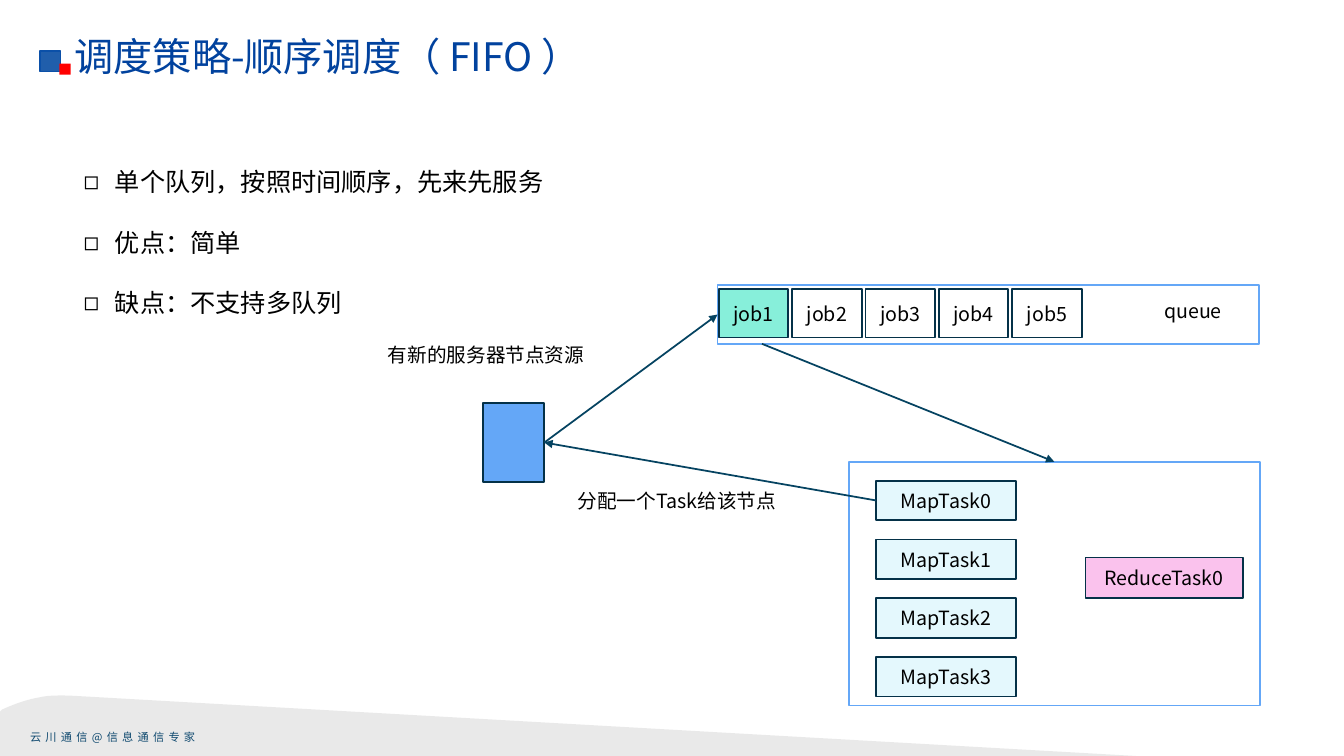
from lxml import etree
from pptx import Presentation
from pptx.dml.color import RGBColor
from pptx.enum import shapes, text
from pptx.oxml import ns
from pptx.util import Pt

FONT = "Noto Sans CJK SC"
BLACK = RGBColor(0x00, 0x00, 0x00)
WHITE = RGBColor(0xFF, 0xFF, 0xFF)
TITLE_BLUE = RGBColor(0x01, 0x42, 0x9E)
MARK_BLUE = RGBColor(0x20, 0x5E, 0xAB)
MARK_EDGE = RGBColor(0x0B, 0x50, 0xA8)
MARK_RED = RGBColor(0xFF, 0x00, 0x00)
SKY = RGBColor(0x64, 0xA7, 0xF7)
NAVY = RGBColor(0x04, 0x31, 0x48)
ARROW = RGBColor(0x05, 0x43, 0x61)
MINT = RGBColor(0x87, 0xEF, 0xDA)
ICE = RGBColor(0xE4, 0xF8, 0xFD)
PINK = RGBColor(0xFA, 0xC2, 0xED)
GREY = RGBColor(0xD9, 0xD9, 0xD9)
FOOTER_BLUE = RGBColor(0x0F, 0x49, 0x6F)


def add_element(parent, tag, **attributes):
    return etree.SubElement(parent, ns.qn(tag), attributes)


def write(frame, lines, size=14, color=BLACK, align=text.PP_ALIGN.LEFT,
          anchor=text.MSO_ANCHOR.MIDDLE, wrap=True, margins=(7.2, 3.6),
          line_spacing=None, bullet=None, indent=0, tracking=None):
    frame.auto_size = text.MSO_AUTO_SIZE.NONE
    frame.word_wrap = wrap
    frame.vertical_anchor = anchor
    frame.margin_left = frame.margin_right = Pt(margins[0])
    frame.margin_top = frame.margin_bottom = Pt(margins[1])
    for index, line in enumerate(lines):
        paragraph = frame.add_paragraph() if index else frame.paragraphs[0]
        paragraph.alignment = align
        paragraph.space_before = paragraph.space_after = Pt(0)
        if line_spacing:
            paragraph.line_spacing = Pt(line_spacing)
        if bullet:
            properties = paragraph._p.get_or_add_pPr()
            properties.set("marL", str(Pt(indent)))
            properties.set("indent", str(-Pt(indent)))
            add_element(properties, "a:buChar", char=bullet)
        run = paragraph.add_run()
        run.text = line
        run.font.size = Pt(size)
        run.font.color.rgb = color
        run.font.name = FONT
        character = run._r.get_or_add_rPr()
        add_element(character, "a:ea", typeface=FONT)
        if tracking:
            character.set("spc", str(tracking * 100))


def place(shape, box):
    shape.left, shape.top, shape.width, shape.height = map(Pt, box)


def add_label(slide, box, words, **style):
    label = slide.shapes.add_textbox(*map(Pt, box))
    write(label.text_frame, [words], **style)


def add_block(slide, box, fill, edge=NAVY, words=None):
    block = slide.shapes.add_shape(shapes.MSO_SHAPE.RECTANGLE, *map(Pt, box))
    block.shadow.inherit = False
    block.fill.solid()
    block.fill.fore_color.rgb = fill
    if edge is None:
        block.line.fill.background()
    else:
        block.line.color.rgb = edge
        block.line.width = Pt(1.25)
    if words:
        write(block.text_frame, [words], align=text.PP_ALIGN.CENTER,
              wrap=False, margins=(0, 0))
    return block


def add_arrow(slide, start=(0, 0), begin=None, end=None):
    arrow = slide.shapes.add_connector(
        shapes.MSO_CONNECTOR.STRAIGHT, Pt(start[0]), Pt(start[1]), 0, 0)
    if begin:
        arrow.begin_connect(*begin)
    if end:
        arrow.end_connect(*end)
    arrow.line.color.rgb = ARROW
    arrow.line.width = Pt(1.25)
    add_element(arrow.line._get_or_add_ln(), "a:tailEnd", type="triangle")
    add_element(arrow._element.spPr, "a:effectLst")


def curve(p0, p1, p2, p3, steps=10):
    for step in range(1, steps + 1):
        t = step / steps
        yield tuple((1 - t) ** 3 * a + 3 * t * (1 - t) ** 2 * b
                    + 3 * t * t * (1 - t) * c + t ** 3 * d
                    for a, b, c, d in zip(p0, p1, p2, p3))


def add_footer(slide, box):
    left, top, width, height = box
    shoulder = [(0, 11.5), (1.4, 10.1),
                *curve((1.4, 10.1), (9.4, 6.5), (18.7, 2.9), (28, 1.4)),
                *curve((28, 1.4), (33.8, 0), (39.6, 0), (46, 0)),
                (52, 0.2), (width, height)]
    builder = slide.shapes.build_freeform(Pt(left), Pt(top + height))
    builder.add_line_segments([(Pt(left + x), Pt(top + y)) for x, y in shoulder])
    wave = builder.convert_to_shape()
    wave.shadow.inherit = False
    wave.fill.solid()
    wave.fill.fore_color.rgb = GREY
    wave.line.fill.background()
    grey = wave._element.spPr.find(".//" + ns.qn("a:srgbClr"))
    add_element(grey, "a:alpha", val="56000")
    add_label(slide, (left + 14.4, top + 21, 137, 17.3), "云川通信@信息通信专家",
              size=8, color=FOOTER_BLUE, wrap=False, tracking=3)


def add_heading(slide, box):
    left, top, width, height = box
    add_block(slide, (left, top + 13.7, 14.4, 14.4), MARK_BLUE, MARK_EDGE)
    add_block(slide, (left + 13.7, top + 22.4, 7.9, 7.9), MARK_RED, None)
    place(slide.shapes.title, (left + 17.3, top, width - 17.3, height))
    write(slide.shapes.title.text_frame, ["调度策略-顺序调度（ FIFO ）"], size=28,
          color=TITLE_BLUE, anchor=text.MSO_ANCHOR.TOP, margins=(7.2, 0))


def add_points(slide, box):
    points = slide.placeholders[1]
    place(points, box)
    write(points.text_frame,
          ["单个队列，按照时间顺序，先来先服务", "优点：简单", "缺点：不支持多队列"],
          size=18, anchor=text.MSO_ANCHOR.TOP, margins=(0, 0),
          line_spacing=43.2, bullet="◻", indent=22.3)


def add_queue(slide, box):
    left, top, width, height = box
    queue = add_block(slide, box, WHITE, SKY)
    for index in range(5):
        add_block(slide, (left + 0.8 + 52.4 * index, top + 2.7, 49.7, 34.6),
                  WHITE if index else MINT, words=f"job{index + 1}")
    add_label(slide, (left + width - 74.8, top + 6.2, 68.4, 24.5), "queue")
    return queue


def add_tasks(slide, box):
    left, top, width, height = box
    tasks = add_block(slide, box, WHITE, SKY)
    maps = [add_block(slide, (left + 19.5, top + 13.6 + 42 * index, 100.1, 28.1),
                      ICE, words=f"MapTask{index}") for index in range(4)]
    add_block(slide, (left + 169.2, top + 68.4, 112.3, 28.8), PINK,
              words="ReduceTask0")
    return tasks, maps[0]


def add_scheduling(slide, box):
    left, top, width, height = box
    queue = add_queue(slide, (left + 242.6, top, 386.6, 41.8))
    tasks, first_map = add_tasks(slide, (left + 336.2, top + 126, 293.8, 174.2))
    node = add_block(slide, (left + 74.9, top + 84.2, 43.9, 56.2), SKY)
    add_arrow(slide, begin=(node, 3), end=(queue, 1))
    add_arrow(slide, start=(left + 274.3, top + 41.8), end=(tasks, 0))
    add_arrow(slide, begin=(first_map, 1), end=(node, 3))
    add_label(slide, (left, top + 37, 169.2, 24.5), "有新的服务器节点资源")
    add_label(slide, (left + 135.4, top + 141.5, 169.9, 24.5), "分配一个Task给该节点")


def main():
    deck = Presentation()
    deck.slide_width, deck.slide_height = Pt(960), Pt(540)
    slide = deck.slides.add_slide(deck.slide_layouts[1])
    add_footer(slide, (0, 496.8, 811.4, 43.2))
    add_heading(slide, (28.8, 23, 671, 36))
    add_points(slide, (59.8, 97.5, 840.2, 131))
    add_scheduling(slide, (270, 203.8, 630, 300.2))
    deck.save("out.pptx")


if __name__ == "__main__":
    main()
